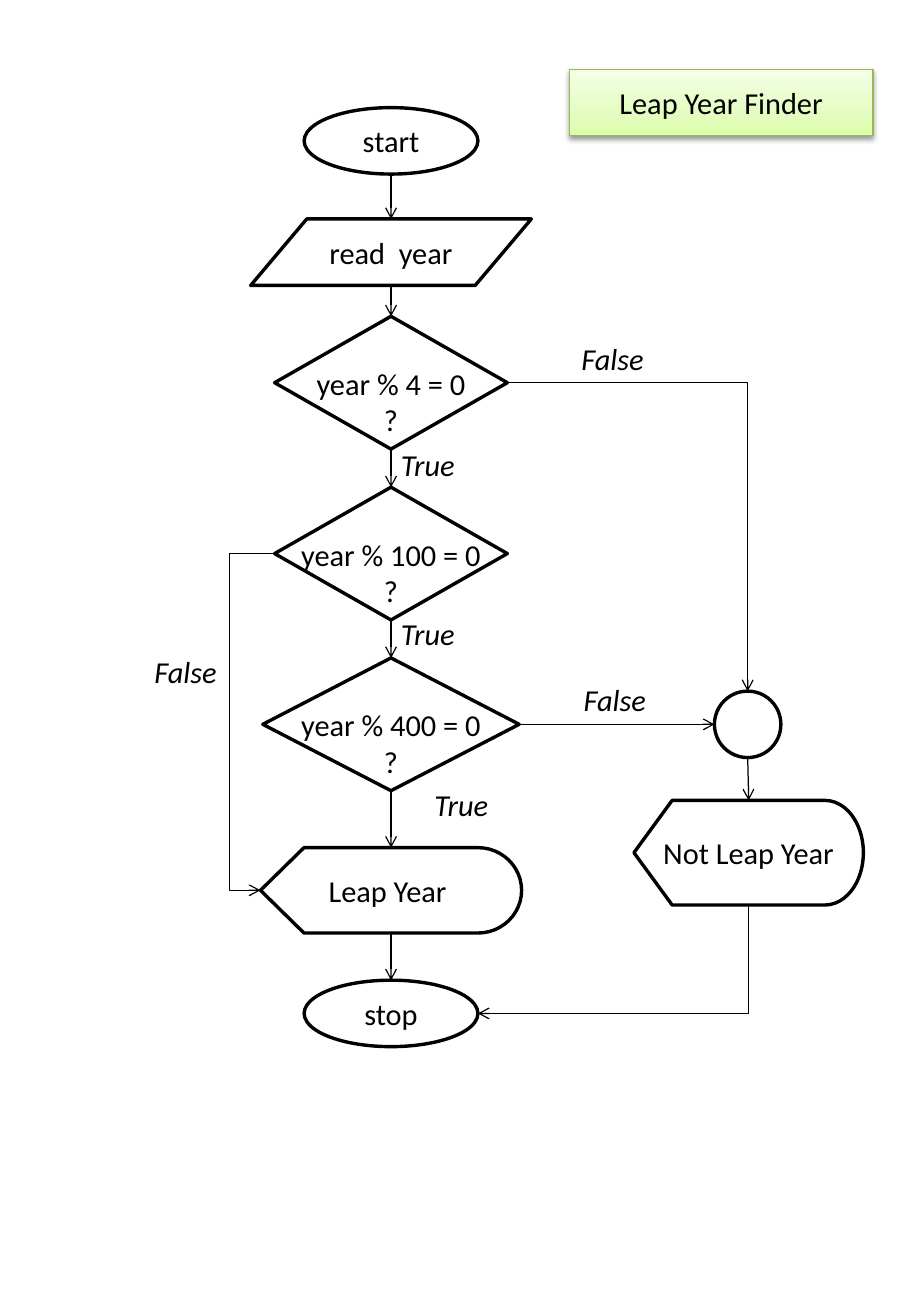
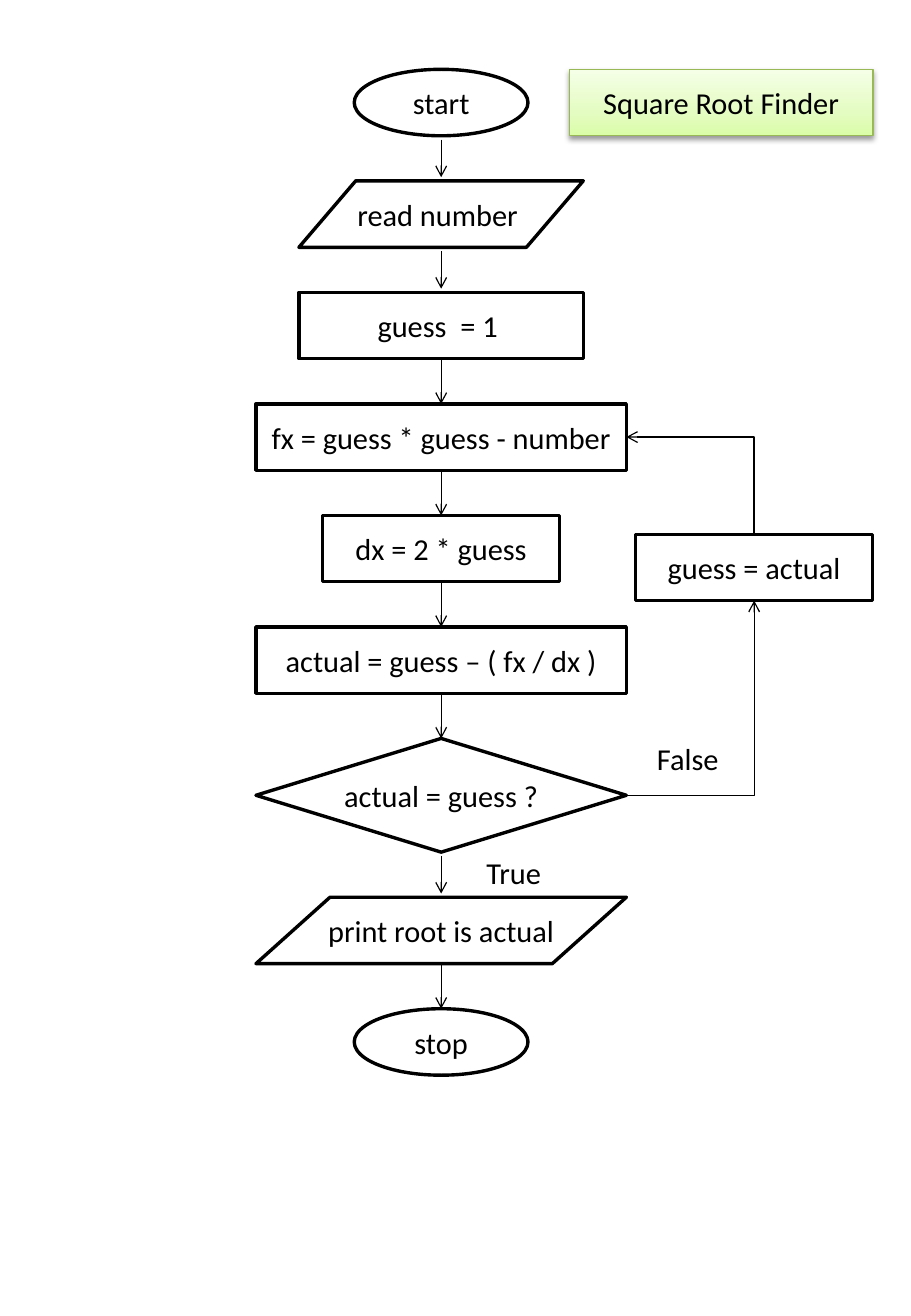
"""Build two flowchart slides: a leap year finder and a square root finder."""
from pptx import Presentation
from pptx.dml.color import RGBColor
from pptx.enum.shapes import MSO_CONNECTOR, MSO_SHAPE
from pptx.enum.text import MSO_ANCHOR, MSO_AUTO_SIZE, PP_ALIGN
from pptx.oxml import parse_xml
from pptx.oxml.ns import nsdecls, qn
from pptx.util import Pt

BLACK = RGBColor(0x00, 0x00, 0x00)
WHITE = RGBColor(0xFF, 0xFF, 0xFF)
GREEN_LINE = RGBColor(0x98, 0xB9, 0x55)
GREEN_STOPS = [(0, RGBColor(0xDA, 0xFD, 0xA7)), (35, RGBColor(0xE4, 0xFC, 0xC2)),
               (100, RGBColor(0xF5, 0xFF, 0xE7))]
FONT = "Calibri"

OVAL, RECT = MSO_SHAPE.OVAL, MSO_SHAPE.RECTANGLE
DATA, DECISION = MSO_SHAPE.FLOWCHART_DATA, MSO_SHAPE.FLOWCHART_DECISION
DISPLAY = MSO_SHAPE.FLOWCHART_DISPLAY
STRAIGHT, ELBOW = MSO_CONNECTOR.STRAIGHT, MSO_CONNECTOR.ELBOW
LEFT_ALIGN, CENTER = PP_ALIGN.LEFT, PP_ALIGN.CENTER
MIDDLE, NO_FIT = MSO_ANCHOR.MIDDLE, MSO_AUTO_SIZE.NONE
TOP, LEFT, BOTTOM, RIGHT = range(4)
JOINABLE = {RECT, DECISION, DISPLAY}

STEP_H, OVAL_W, LINE_H = 39.4, 103, 22
TITLE_BOX = (337.5, 41.1, 180, STEP_H)
LABEL_W, LABEL_H = {"True": 47.5, "False": 51.5}, 29

LEAP_X, NOT_LEAP_X = 231.8, 443.2
LEAP_NODES = {
    "start": (OVAL, "start", LEAP_X, 63.8, OVAL_W, STEP_H),
    "read": (DATA, "read  year", LEAP_X, 129.8, 166.4, STEP_H),
    "by 4": (DECISION, "year % 4 = 0\n?", LEAP_X, 187.5, 138, 78.7),
    "by 100": (DECISION, "year % 100 = 0\n?", LEAP_X, 288.8, 138, 78.7),
    "by 400": (DECISION, "year % 400 = 0\n?", LEAP_X, 390, 152, 78.7),
    "leap": (DISPLAY, "Leap Year ", LEAP_X, 502.4, 154.8, 50.6),
    "stop": (OVAL, "stop", LEAP_X, 581, OVAL_W, STEP_H),
    "merge": (OVAL, "", NOT_LEAP_X, 409.65, STEP_H, STEP_H),
    "not leap": (DISPLAY, "Not Leap Year", NOT_LEAP_X + 0.6, 474.4, 136, 62),
}
LEAP_FLOW = ["start", "read", "by 4", "by 100", "by 400", "leap", "stop"]
LEAP_LINKS = [
    ("by 4", RIGHT, "merge", TOP, {}),
    ("by 100", LEFT, "leap", LEFT, {"detour": 136}),
    ("by 400", RIGHT, "merge", LEFT, {}),
    ("merge", BOTTOM, "not leap", TOP, {}),
    ("not leap", BOTTOM, "stop", RIGHT, {}),
]
LEAP_LABELS = [("True", 230.5, 260.8), ("True", 230.5, 361), ("True", 250.4, 462.2),
               ("False", 337.5, 197.8), ("False", 338.8, 400), ("False", 84.4, 383.6)]

ROOT_X, ROOT_TOP, ROOT_GAP = 261.5, 41.1, 26.7
ROOT_STEPS = [
    ("start", OVAL, "start", OVAL_W, STEP_H),
    ("read", DATA, "read number ", 168.6, STEP_H),
    ("guess", RECT, "guess  = 1 ", 168.6, STEP_H),
    ("fx", RECT, "fx = guess * guess - number", 219.6, STEP_H),
    ("dx", RECT, "dx = 2 * guess", 140.6, STEP_H),
    ("actual", RECT, "actual = guess – ( fx / dx )", 219.6, STEP_H),
    ("test", DECISION, "actual = guess ?", 219.6, 67.4),
    ("print", DATA, "print root is actual", 219.6, STEP_H),
    ("stop", OVAL, "stop", OVAL_W, STEP_H),
]
ROOT_SIDE = {"again": (RECT, "guess = actual", 447, 316.7, 140.6, STEP_H)}
ROOT_GAPS = {"start": 2.2, "read": 2.2, "test": 2.2}
ROOT_LINKS = [("test", RIGHT, "again", BOTTOM, {}), ("again", TOP, "fx", RIGHT, {})]
ROOT_LABELS = [("True", 281.3, 502.8), ("False", 382.3, 435)]


def write(sp, text, align=CENTER, italic=False, wrap=False):
    tf = sp.text_frame
    tf.word_wrap, tf.auto_size = wrap, NO_FIT
    tf.vertical_anchor = MIDDLE
    for i, line in enumerate(text.split("\n")):
        p = tf.add_paragraph() if i else tf.paragraphs[0]
        p.alignment = align
        r = p.add_run()
        r.text = line
        r.font.name, r.font.size, r.font.italic = FONT, Pt(18), italic
        r.font.color.rgb = BLACK


def set_line(line, color, width):
    line.color.rgb, line.width = color, Pt(width)


def add_title(s, text):
    sp = s.shapes.title
    sp.left, sp.top, sp.width, sp.height = map(Pt, TITLE_BOX)
    stops = "".join(f'<a:gs pos="{pos * 1000}"><a:srgbClr val="{color}"/></a:gs>'
                    for pos, color in GREEN_STOPS)
    spPr = sp._element.spPr
    spPr.append(parse_xml(
        f'<a:gradFill {nsdecls("a")} rotWithShape="1"><a:gsLst>{stops}</a:gsLst>'
        '<a:lin ang="16200000" scaled="0"/></a:gradFill>'))
    set_line(sp.line, GREEN_LINE, 0.75)
    spPr.append(parse_xml(
        f'<a:effectLst {nsdecls("a")}><a:outerShdw blurRad="{Pt(3.1)}" dist="{Pt(1.6)}" '
        f'dir="5400000" rotWithShape="0"><a:srgbClr val="{BLACK}"><a:alpha val="38000"/>'
        '</a:srgbClr></a:outerShdw></a:effectLst>'))
    write(sp, text, wrap=True)


def add_node(s, kind, text, cx, top, w, h):
    sp = s.shapes.add_shape(kind, Pt(cx - w / 2), Pt(top), Pt(w), Pt(h))
    sp.shadow.inherit = False
    sp.fill.solid()
    sp.fill.fore_color.rgb = WHITE
    set_line(sp.line, BLACK, 2)
    if text:
        write(sp, text)
    if "\n" in text:
        sp.text_frame.margin_top = Pt(3.6 + LINE_H)
    return sp


def side_point(sp, side):
    x = sp.left + {LEFT: 0, RIGHT: sp.width}.get(side, sp.width // 2)
    y = sp.top + {TOP: 0, BOTTOM: sp.height}.get(side, sp.height // 2)
    return x, y


def add_elbow(s, x1, y1, x2, y2, start, end, detour):
    dx, dy = x2 - x1, y2 - y1
    if start in (LEFT, RIGHT):
        c = s.shapes.add_connector(ELBOW, x1, y1, x2, y2)
    else:
        cx, cy, half_w = (x1 + x2) // 2, (y1 + y2) // 2, abs(dy) // 2
        half_h = abs(dx) // 2 * (-1 if (dx > 0) == (dy > 0) else 1)
        c = s.shapes.add_connector(ELBOW, cx - half_w, cy - half_h, cx + half_w, cy + half_h)
        c._element.spPr.find(qn("a:xfrm")).set("rot", "5400000" if dy > 0 else "16200000")
    geom = c._element.spPr.find(qn("a:prstGeom"))
    if start == end:
        ratio = round((Pt(detour) - x1) / dx * 100000)
        geom.find(qn("a:avLst")).append(
            parse_xml(f'<a:gd {nsdecls("a")} name="adj1" fmla="val {ratio}"/>'))
    else:
        geom.set("prst", "bentConnector2")
    return c


def add_link(s, a, start, b, end, gap=0, detour=0):
    (x1, y1), (x2, y2) = side_point(a, start), side_point(b, end)
    if (start, end) in ((BOTTOM, TOP), (RIGHT, LEFT)):
        c = s.shapes.add_connector(STRAIGHT, x1, y1 + Pt(gap), x2, y2 - Pt(gap))
        if not gap and a.auto_shape_type in JOINABLE:
            c.begin_connect(a, start)
        if not gap and b.auto_shape_type in JOINABLE:
            c.end_connect(b, end)
    else:
        c = add_elbow(s, x1, y1, x2, y2, start, end, detour)
    set_line(c.line, BLACK, 0.75)
    spPr = c._element.spPr
    spPr.find(qn("a:ln")).append(parse_xml(f'<a:tailEnd {nsdecls("a")} type="arrow"/>'))
    spPr.append(parse_xml(f'<a:effectLst {nsdecls("a")}/>'))


def add_flowchart(prs, title, nodes, links, labels, italic):
    s = prs.slides.add_slide(prs.slide_layouts[5])
    add_title(s, title)
    shapes = {name: add_node(s, *node) for name, node in nodes.items()}
    for a, start, b, end, options in links:
        add_link(s, shapes[a], start, shapes[b], end, **options)
    for text, x, y in labels:
        sp = s.shapes.add_textbox(Pt(x), Pt(y), Pt(LABEL_W[text]), Pt(LABEL_H))
        write(sp, text, align=LEFT_ALIGN, italic=italic)


def flow_links(names, gaps):
    return [(a, BOTTOM, b, TOP, {"gap": gaps.get(a, 0)}) for a, b in zip(names, names[1:])]


def stack_steps(steps):
    nodes, top = {}, ROOT_TOP
    for name, kind, text, w, h in steps:
        nodes[name] = (kind, text, ROOT_X, top, w, h)
        top += h + ROOT_GAP
    return nodes


def main():
    prs = Presentation()
    prs.slide_width, prs.slide_height = Pt(540), Pt(780)
    add_flowchart(prs, "Leap Year Finder", LEAP_NODES,
                  flow_links(LEAP_FLOW, {}) + LEAP_LINKS, LEAP_LABELS, italic=True)
    root_nodes = stack_steps(ROOT_STEPS)
    add_flowchart(prs, "Square Root Finder", {**root_nodes, **ROOT_SIDE},
                  flow_links(list(root_nodes), ROOT_GAPS) + ROOT_LINKS, ROOT_LABELS, italic=False)
    prs.save("out.pptx")


if __name__ == "__main__":
    main()
